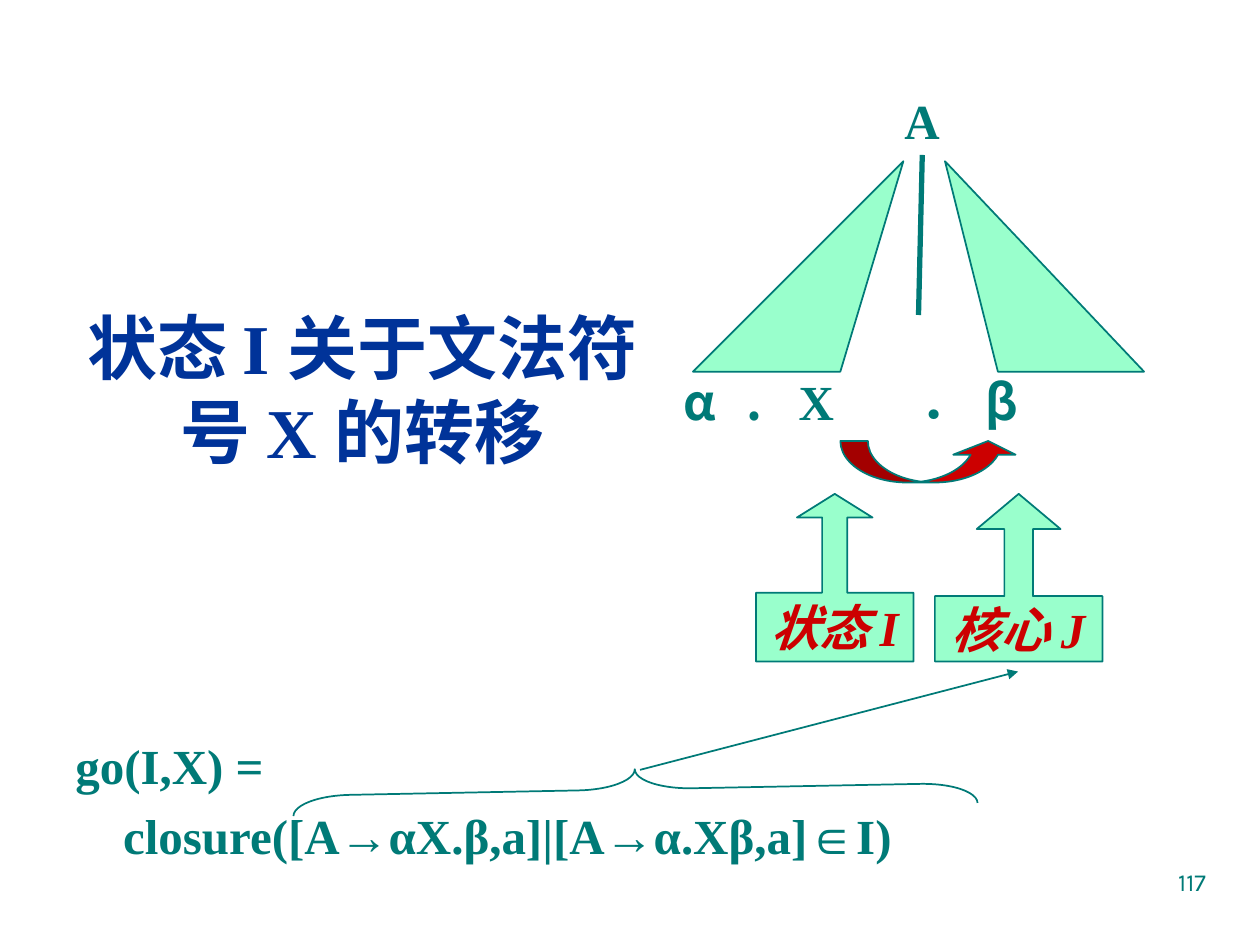
from dataclasses import dataclass

from pptx import Presentation
from pptx.dml.color import RGBColor
from pptx.enum.shapes import MSO_CONNECTOR, MSO_SHAPE
from pptx.enum.text import MSO_ANCHOR, PP_ALIGN
from pptx.oxml.ns import qn
from pptx.util import Inches, Pt
from lxml.etree import SubElement


@dataclass(frozen=True)
class Theme:
    teal: RGBColor = RGBColor.from_string("007A77")
    mint: RGBColor = RGBColor.from_string("99FFCC")
    red: RGBColor = RGBColor.from_string("CC0000")
    navy: RGBColor = RGBColor.from_string("003399")
    serif: str = "Times New Roman"
    sans: str = "Noto Sans CJK SC"
    number_font: str = "Karla"
    title_size: int = 40
    text_size: int = 28
    number_size: int = 14


THEME = Theme()


def add_span(para, text, font=THEME.serif, size=THEME.text_size,
             color=THEME.teal, bold=True, italic=False):
    span = para.add_run()
    span.text = text
    span.font.name = font
    span.font.size = Pt(size)
    span.font.bold = bold
    span.font.italic = italic
    span.font.color.rgb = color
    east_asian = SubElement(span.font._element, qn("a:ea"))
    east_asian.set("typeface", THEME.sans)


def add_text(page, text, left, top, width, height, align=PP_ALIGN.LEFT,
             anchor=MSO_ANCHOR.TOP, wrap=True, **style):
    box = page.shapes.add_textbox(*map(Inches, (left, top, width, height)))
    frame = box.text_frame
    frame.word_wrap = wrap
    frame.vertical_anchor = anchor
    para = frame.paragraphs[0]
    para.alignment = align
    if text:
        add_span(para, text, **style)
    return frame


def paint(shape, fill=None):
    shape.shadow.inherit = False
    if fill is None:
        shape.fill.background()
    else:
        shape.fill.solid()
        shape.fill.fore_color.rgb = fill
    shape.line.color.rgb = THEME.teal
    shape.line.width = Pt(1)


def add_preset(page, preset, left, top, width, height, adjustments, fill=None):
    shape = page.shapes.add_shape(preset, *map(Inches, (left, top, width, height)))
    for index, value in enumerate(adjustments):
        shape.adjustments[index] = value
    paint(shape, fill)
    return shape


def add_callout(page, text, left, width, adjustments):
    callout = add_preset(page, MSO_SHAPE.UP_ARROW_CALLOUT, left, 3.92, width, 1.33,
                         adjustments, THEME.mint)
    frame = callout.text_frame
    frame.word_wrap = False
    frame.vertical_anchor = MSO_ANCHOR.MIDDLE
    para = frame.paragraphs[0]
    para.alignment = PP_ALIGN.CENTER
    add_span(para, text, color=THEME.red, italic=True)


def add_triangle(page, *corners):
    start, *others = [(Inches(x), Inches(y)) for x, y in corners]
    builder = page.shapes.build_freeform(*start)
    builder.add_line_segments(others, close=True)
    paint(builder.convert_to_shape(), THEME.mint)


def add_line(page, start, end, width, arrow=False):
    line = page.shapes.add_connector(MSO_CONNECTOR.STRAIGHT,
                                     *map(Inches, (*start, *end)))
    line.line.color.rgb = THEME.teal
    line.line.width = Pt(width)
    if arrow:
        SubElement(line.line._get_or_add_ln(), qn("a:tailEnd")).set("type", "triangle")
    SubElement(line._element.spPr, qn("a:effectLst"))


def add_definition(page):
    frame = add_text(page, "go(I,X) =", 0.5, 5.79, 8.83, 1.33)
    para = frame.add_paragraph()
    para.space_before = Pt(6)
    properties = para._p.get_or_add_pPr()
    properties.set("marL", str(Inches(0.38)))
    properties.set("indent", "0")
    add_span(para, "closure([A→αX.β,a]|[A→α.Xβ,a]∈I)")


def add_production(page):
    """Right-hand side of the production, its symbols set on tab stops."""
    para = add_text(page, "", 5.33, 2.9, 3.92, 0.7).paragraphs[0]
    tabs = SubElement(para._p.get_or_add_pPr(), qn("a:tabLst"))
    for position in (0.5, 0.91, 1.88, 2.39):
        tab = SubElement(tabs, qn("a:tab"))
        tab.set("pos", str(Inches(position)))
        tab.set("algn", "l")
    add_span(para, "α\t.\t", font=THEME.sans)
    add_span(para, "X\t．\t")
    add_span(para, "β", font=THEME.sans)


def add_tree(page):
    apex, base = 1.28, 2.95
    add_text(page, "A", 7.08, 0.67, 0.48, 0.57, wrap=False)
    add_line(page, (7.32, 1.23), (7.29, 2.5), 3)
    add_triangle(page, (7.17, apex), (5.5, base), (6.67, base))
    add_triangle(page, (7.5, apex), (9.08, base), (7.92, base))


def main():
    deck = Presentation()
    deck.slide_width, deck.slide_height = Inches(10), Inches(7.5)
    page = deck.slides.add_slide(deck.slide_layouts[6])

    add_text(page, "状态 I 关于文法符号 X 的转移", 0.59, 2.25, 4.57, 1.67,
             align=PP_ALIGN.CENTER, anchor=MSO_ANCHOR.MIDDLE,
             size=THEME.title_size, color=THEME.navy)
    add_definition(page)
    add_text(page, "117", 7.17, 6.83, 2.5, 0.52, align=PP_ALIGN.RIGHT,
             font=THEME.number_font, size=THEME.number_size, bold=False)
    add_tree(page)
    add_callout(page, "状态 I", 6, 1.25, (0.16, 0.24, 0.15, 0.41))
    add_callout(page, "核心 J", 7.42, 1.33, (0.17, 0.25, 0.21, 0.39))
    add_preset(page, MSO_SHAPE.CURVED_UP_ARROW, 6.67, 3.5, 1.42, 0.33,
               (0.66, 1.5, 0.33), THEME.red)
    add_production(page)
    add_line(page, (5.08, 6.11), (8.08, 5.33), 1, arrow=True)
    brace = add_preset(page, MSO_SHAPE.LEFT_BRACE, 4.88, 3.55, 0.32, 5.43, (1.42, 0.5))
    brace.rotation = 88.9

    deck.save("out.pptx")


if __name__ == "__main__":
    main()
